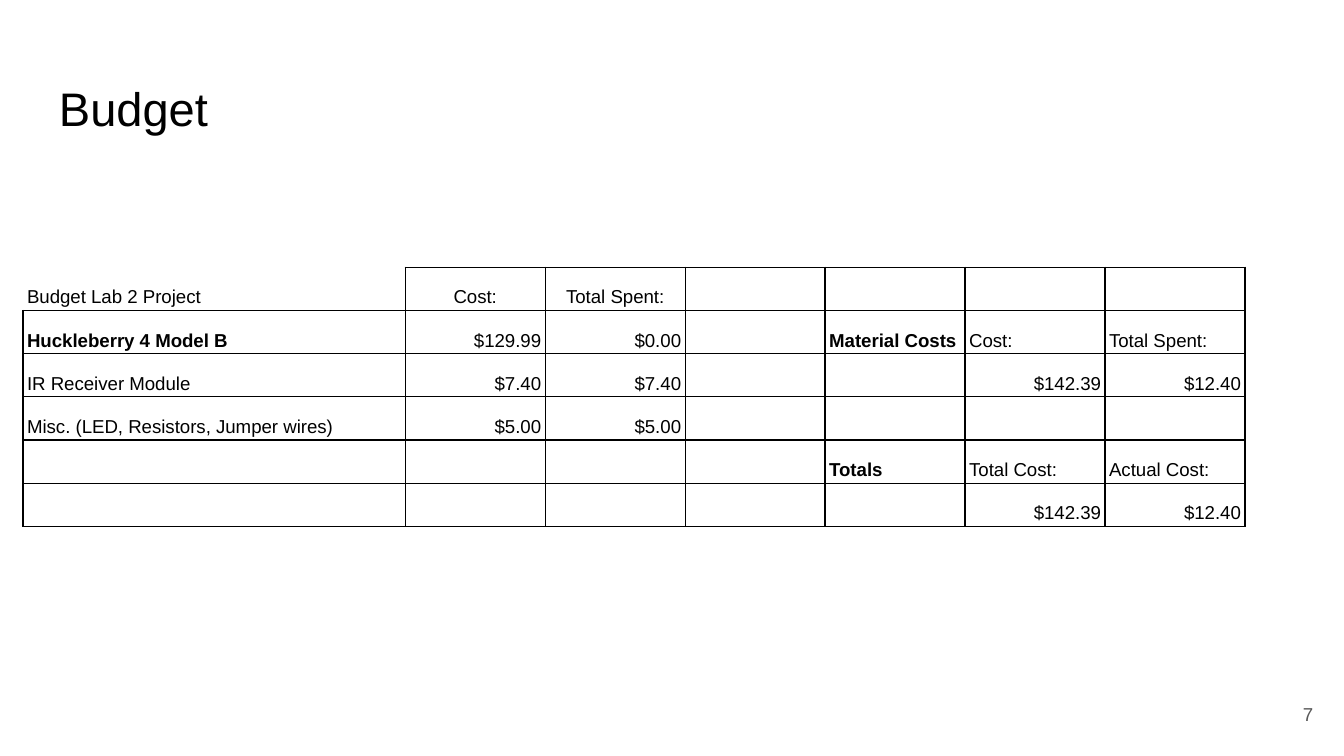
import pptx
import pptx.util
import pptx.dml.color
import pptx.enum.text
import lxml.etree

Pt = pptx.util.Pt
ALIGN = pptx.enum.text.PP_ALIGN
ANCHOR = pptx.enum.text.MSO_ANCHOR
NS = "{http://schemas.openxmlformats.org/drawingml/2006/main}"


def color(hex_code):
    return pptx.dml.color.RGBColor.from_string(hex_code)


class Deck:
    FONT = "Arial"
    INK = "000000"
    GREY = "595959"
    LINE = 0.75
    SMALL = 10

    def __init__(self, width, height):
        self.prs = pptx.Presentation()
        self.prs.slide_width, self.prs.slide_height = Pt(width), Pt(height)
        self.s = self.prs.slides.add_slide(self.prs.slide_layouts[6])

    def style_text(self, p, text, size, ink, align=ALIGN.LEFT, bold=False):
        p.text = text
        p.alignment = align
        for r in p.runs:
            r.font.name, r.font.size, r.font.bold = self.FONT, Pt(size), bold
            r.font.color.rgb = color(ink)

    def text(self, box, text, size, ink, align=ALIGN.LEFT, anchor=ANCHOR.TOP):
        sp = self.s.shapes.add_textbox(*map(Pt, box))
        tf = sp.text_frame
        tf.word_wrap = True
        tf.vertical_anchor = anchor
        tf.margin_left = tf.margin_right = tf.margin_top = tf.margin_bottom = Pt(7.2)
        self.style_text(tf.paragraphs[0], text, size, ink, align)

    def borders(self, cell, open_sides=""):
        tc_pr = cell._tc.get_or_add_tcPr()
        for i, side in enumerate("LRTB"):
            ln = lxml.etree.Element(NS + "ln" + side, w=str(Pt(self.LINE)))
            if side in open_sides:
                lxml.etree.SubElement(ln, NS + "noFill")
            else:
                fill = lxml.etree.SubElement(ln, NS + "solidFill")
                lxml.etree.SubElement(fill, NS + "srgbClr", val=self.INK)
            tc_pr.insert(i, ln)

    def table(self, left, top, widths, row_height, rows, bold):
        table = self.s.shapes.add_table(
            len(rows), len(widths), Pt(left), Pt(top),
            Pt(sum(widths)), Pt(row_height * len(rows))).table
        table.first_row = table.horz_banding = False
        for col, width in zip(table.columns, widths):
            col.width = Pt(width)
        for i, row in enumerate(rows):
            table.rows[i].height = Pt(row_height)
            for j, text in enumerate(row):
                cell = table.cell(i, j)
                cell.fill.background()
                cell.vertical_anchor = ANCHOR.BOTTOM
                cell.margin_left = cell.margin_right = Pt(2.2)
                cell.margin_top = cell.margin_bottom = Pt(1.4)
                # Amounts go right, column heads centre, labels left
                if text.startswith("$"):
                    align = ALIGN.RIGHT
                else:
                    align = ALIGN.CENTER if i == 0 and j else ALIGN.LEFT
                p = cell.text_frame.paragraphs[0]
                self.style_text(p, text, self.SMALL, self.INK, align, text in bold)
                p.line_spacing = 1.15
                if not text:  # keeps empty cells from stretching the row
                    lxml.etree.SubElement(p._p, NS + "endParaRPr", sz=str(self.SMALL * 100))
                self.borders(cell, "LT" if i == j == 0 else "")


# Slide
deck = Deck(720, 405)

# Title and page number
deck.text((24.5, 35.5, 671, 45), "Budget", 25.2, Deck.INK)
deck.text((667.5, 367, 43, 31), "7", Deck.SMALL, Deck.GREY, ALIGN.RIGHT, ANCHOR.MIDDLE)

# Budget table
ROWS = [
    ["Budget Lab 2 Project", "Cost:", "Total Spent:", "", "", "", ""],
    ["Huckleberry 4 Model B", "$129.99", "$0.00", "", "Material Costs", "Cost:", "Total Spent:"],
    ["IR Receiver Module", "$7.40", "$7.40", "", "", "$142.39", "$12.40"],
    ["Misc. (LED, Resistors, Jumper wires)", "$5.00", "$5.00", "", "", "", ""],
    ["", "", "", "", "Totals", "Total Cost:", "Actual Cost:"],
    ["", "", "", "", "", "$142.39", "$12.40"],
]
deck.table(12.3, 143.2, [204.8] + [75] * 6, 23.15, ROWS,
           bold={"Huckleberry 4 Model B", "Material Costs", "Totals"})

deck.prs.save("out.pptx")
